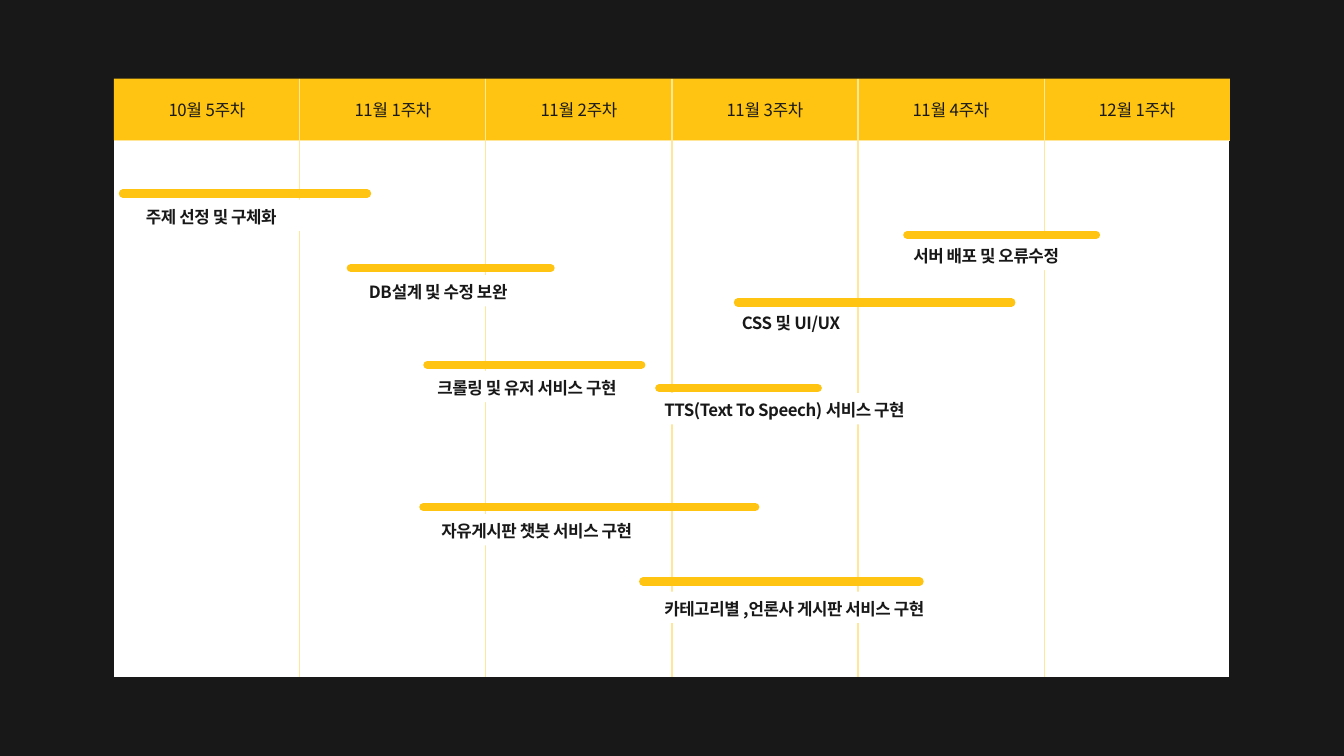
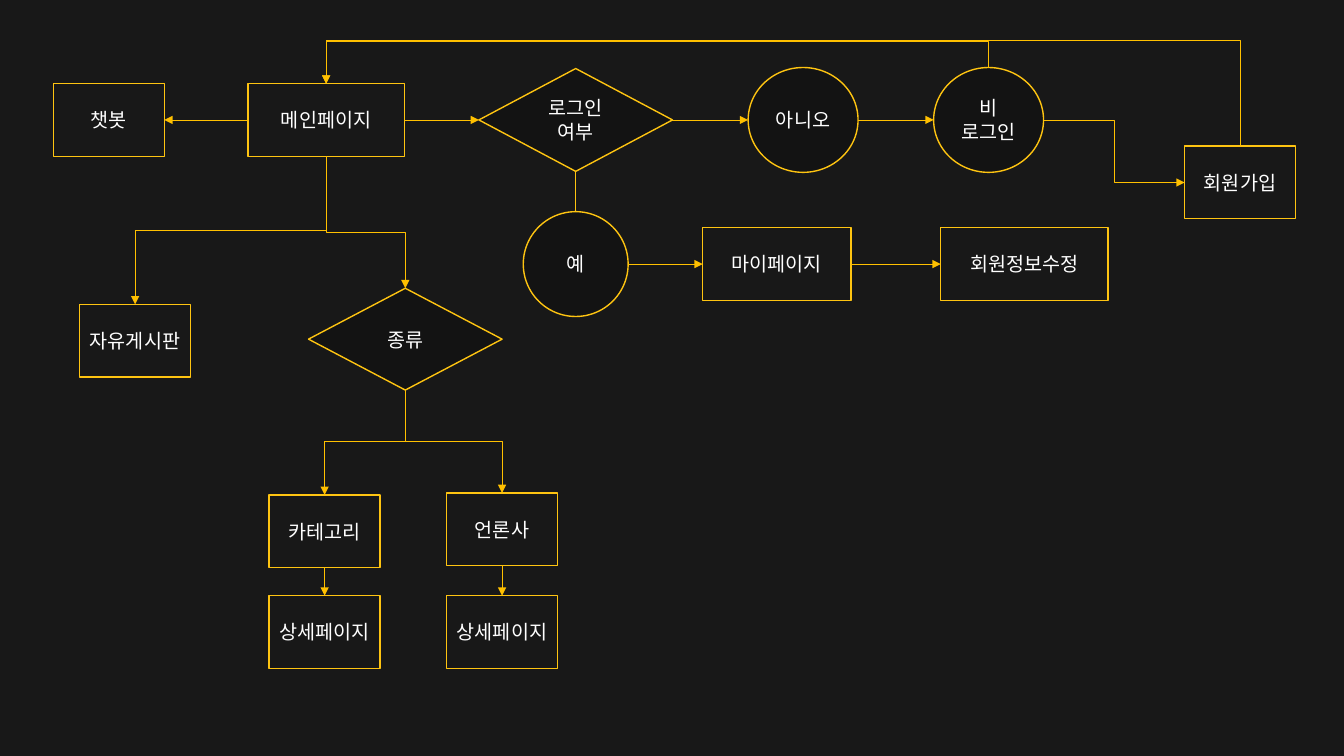
from dataclasses import dataclass

from pptx import Presentation
from pptx.dml.color import RGBColor
from pptx.enum.shapes import MSO_CONNECTOR, MSO_SHAPE
from pptx.enum.text import MSO_ANCHOR, MSO_AUTO_SIZE, PP_ALIGN
from pptx.oxml.ns import qn
from pptx.util import Inches, Pt
from lxml import etree

RECT, DIAMOND, OVAL = MSO_SHAPE.RECTANGLE, MSO_SHAPE.DIAMOND, MSO_SHAPE.OVAL
STRAIGHT, ELBOW = MSO_CONNECTOR.STRAIGHT, MSO_CONNECTOR.ELBOW
CENTER, LEFT = PP_ALIGN.CENTER, PP_ALIGN.LEFT
MIDDLE = MSO_ANCHOR.MIDDLE
FIT_SHAPE = MSO_AUTO_SIZE.SHAPE_TO_FIT_TEXT
TOP, LEFT_SIDE, BOTTOM, RIGHT_SIDE = range(4)

FONT = "Noto Sans CJK KR"
COLORS = {
    "dark": "181818",
    "node": "131313",
    "white": "FFFFFF",
    "yellow": "FEC411",
    "arrow": "FFC000",
    "grid": "FFE699",
}
HEADER_FONT = {"size": Pt(12), "name": FONT}
TASK_FONT = {"size": Pt(12), "name": FONT, "bold": True}
NODE_FONT = {"size": Pt(14), "name": FONT}

PANEL_LEFT, PANEL_RIGHT = 1.13, 12.2
PANEL_TOP, PANEL_BOTTOM = 0.78, 6.72
HEADER_H = 0.61
LABEL_H = 0.31
WEEKS = ["10월 5주차", "11월 1주차", "11월 2주차", "11월 3주차", "11월 4주차", "12월 1주차"]


@dataclass
class Task:
    text: str
    label_x: float
    label_y: float
    label_w: float
    bar_start: float
    bar_end: float
    bar_y: float


@dataclass
class Node:
    text: str
    x: float
    y: float
    w: float = 1.1
    h: float = 0.72
    kind: int = RECT
    fill: str = "dark"

    def side(self, i: int) -> tuple[float, float]:
        cx, cy = self.x + self.w / 2, self.y + self.h / 2
        return [(cx, self.y), (self.x, cy), (cx, self.y + self.h), (self.x + self.w, cy)][i]


@dataclass
class Link:
    start: str
    start_side: int
    end: str
    end_side: int
    bend: float | None = None
    color: str = "arrow"
    head: bool = True


TASKS = [
    Task("주제 선정 및 구체화", 1.35, 1.98, 1.64, 1.22, 3.64, 1.92),
    Task("DB설계 및 수정 보완", 3.56, 2.73, 1.66, 3.48, 5.46, 2.66),
    Task("크롤링 및 유저 서비스 구현", 4.24, 3.68, 2.12, 4.24, 6.36, 3.62),
    Task("자유게시판 챗봇 서비스 구현", 4.28, 5.1, 2.2, 4.2, 7.49, 5.03),
    Task("카테고리별 ,언론사 게시판 서비스 구현", 6.49, 5.87, 2.94, 6.38, 9.12, 5.77),
    Task("CSS 및 UI/UX", 7.26, 3.03, 1.23, 7.32, 10.03, 3),
    Task("서버 배포 및 오류수정", 8.96, 2.37, 1.79, 9, 10.87, 2.33),
    Task("TTS(Text To Speech) 서비스 구현", 6.49, 3.9, 3.29, 6.54, 8.11, 3.85),
]

NODES = {
    "main": Node("메인페이지", 2.46, 0.83, 1.55),
    "board": Node("자유게시판", 0.79, 3.02),
    "chatbot": Node("챗봇", 0.53, 0.83),
    "mypage": Node("마이페이지", 6.97, 2.26, 1.47),
    "signup": Node("회원가입", 11.75, 1.45),
    "category": Node("카테고리", 2.67, 4.91),
    "category_detail": Node("상세페이지", 2.67, 5.91),
    "press": Node("언론사", 4.43, 4.89),
    "press_detail": Node("상세페이지", 4.43, 5.91),
    "login": Node("로그인\n여부", 4.75, 0.68, 1.92, 1.02, DIAMOND, "node"),
    "yes": Node("예", 5.19, 2.1, 1.04, 1.04, OVAL, "node"),
    "profile": Node("회원정보수정", 9.33, 2.26, 1.66),
    "no": Node("아니오", 7.42, 0.67, 1.09, 1.04, OVAL, "node"),
    "guest": Node("비\n로그인", 9.26, 0.67, 1.09, 1.04, OVAL, "node"),
    "kind": Node("종류", 3.06, 2.86, 1.92, 1.01, DIAMOND, "node"),
}

LINKS = [
    Link("login", BOTTOM, "yes", TOP, color="yellow", head=False),
    Link("guest", RIGHT_SIDE, "signup", LEFT_SIDE, 11.05),
    Link("login", RIGHT_SIDE, "no", LEFT_SIDE),
    Link("no", RIGHT_SIDE, "guest", LEFT_SIDE),
    Link("yes", RIGHT_SIDE, "mypage", LEFT_SIDE),
    Link("signup", TOP, "main", TOP, 0.4),
    Link("guest", TOP, "main", TOP, 0.41),
    Link("main", LEFT_SIDE, "chatbot", RIGHT_SIDE),
    Link("main", BOTTOM, "board", TOP, 2.29),
    Link("main", BOTTOM, "kind", TOP, 2.3),
    Link("kind", BOTTOM, "category", TOP, 4.38),
    Link("kind", BOTTOM, "press", TOP, 4.38),
    Link("category", BOTTOM, "category_detail", TOP),
    Link("press", BOTTOM, "press_detail", TOP),
    Link("mypage", RIGHT_SIDE, "profile", LEFT_SIDE),
    Link("main", RIGHT_SIDE, "login", LEFT_SIDE),
]


def rgb(name: str) -> RGBColor:
    return RGBColor.from_string(COLORS[name])


def add_text(tf, text: str, fmt: dict, color: str, align=CENTER, spacing=None, tracking=None) -> None:
    for i, line in enumerate(text.split("\n")):
        p = tf.add_paragraph() if i else tf.paragraphs[0]
        p.alignment = align
        p.line_spacing = spacing
        r = p.add_run()
        r.text = line
        for key, value in fmt.items():
            setattr(r.font, key, value)
        r.font.color.rgb = rgb(color)
        rPr = r._r.get_or_add_rPr()
        if tracking is not None:
            rPr.set("spc", str(tracking))
        etree.SubElement(rPr, qn("a:ea")).set("typeface", FONT)


def add_box(slide, kind, x: float, y: float, w: float, h: float, fill: str, line=None, width=1.0):
    sp = slide.shapes.add_shape(kind, Inches(x), Inches(y), Inches(w), Inches(h))
    sp.shadow.inherit = False
    sp.fill.solid()
    sp.fill.fore_color.rgb = rgb(fill)
    if line:
        sp.line.color.rgb = rgb(line)
        sp.line.width = Pt(width)
    else:
        sp.line.fill.background()
    sp.text_frame.vertical_anchor = MIDDLE
    return sp


def add_line(slide, start, end, color: str, width: float, kind=STRAIGHT, head=False, cap=None):
    cxn = slide.shapes.add_connector(kind, *(Inches(v) for v in (*start, *end)))
    cxn.line.color.rgb = rgb(color)
    cxn.line.width = Pt(width)
    ln = cxn.line._get_or_add_ln()
    if cap:
        ln.set("cap", cap)
    if head:
        etree.SubElement(ln, qn("a:tailEnd")).set("type", "triangle")
    etree.SubElement(cxn._element.spPr, qn("a:effectLst"))
    return cxn


def turn_vertical(cxn, start, end) -> None:
    (x1, y1), (x2, y2) = start, end
    w, h = abs(y2 - y1), abs(x2 - x1)
    cxn.left, cxn.top = Inches((x1 + x2 - w) / 2), Inches((y1 + y2 - h) / 2)
    cxn.width, cxn.height = Inches(w), Inches(h)
    xfrm = cxn._element.spPr.find(qn("a:xfrm"))
    for flip in ("flipH", "flipV"):
        xfrm.attrib.pop(flip, None)
    xfrm.set("rot", str((90 if y2 > y1 else 270) * 60000))
    if (x2 > x1) == (y2 > y1):
        xfrm.set("flipV", "1")


def set_bend(cxn, share: float) -> None:
    geom = cxn._element.spPr.find(qn("a:prstGeom"))
    av = geom.find(qn("a:avLst"))
    if av is None:
        av = etree.SubElement(geom, qn("a:avLst"))
    gd = etree.SubElement(av, qn("a:gd"))
    gd.set("name", "adj1")
    gd.set("fmla", f"val {round(share * 100000)}")


def add_link(slide, link: Link, shapes: dict) -> None:
    a, b = NODES[link.start], NODES[link.end]
    start, end = a.side(link.start_side), b.side(link.end_side)
    kind = STRAIGHT if link.bend is None else ELBOW
    cxn = add_line(slide, start, end, link.color, 0.5, kind, link.head)
    if a.kind != OVAL or link.start_side == TOP:
        cxn.begin_connect(shapes[link.start], link.start_side)
    if b.kind != OVAL or link.end_side == TOP:
        cxn.end_connect(shapes[link.end], link.end_side)
    if link.bend is not None:
        axis = 1 if link.start_side in (TOP, BOTTOM) else 0
        if axis:
            turn_vertical(cxn, start, end)
        set_bend(cxn, (link.bend - start[axis]) / (end[axis] - start[axis]))


def build_schedule(slide) -> None:
    add_box(slide, RECT, PANEL_LEFT, PANEL_TOP, PANEL_RIGHT - PANEL_LEFT,
            PANEL_BOTTOM - PANEL_TOP, "white", "dark", 0.75)
    col_w = (PANEL_RIGHT - PANEL_LEFT) / len(WEEKS)
    edges = [PANEL_LEFT + col_w * i for i in range(len(WEEKS))]
    for x, week in zip(edges, WEEKS):
        sp = add_box(slide, RECT, x, PANEL_TOP, col_w, HEADER_H, "yellow")
        sp.text_frame.word_wrap = False
        add_text(sp.text_frame, week, HEADER_FONT, "dark", tracking=-30)
    header_bottom = PANEL_TOP + HEADER_H
    add_line(slide, (PANEL_LEFT, header_bottom), (PANEL_RIGHT, header_bottom), "grid", 0.5)
    for x in edges[1:]:
        add_line(slide, (x, PANEL_TOP), (x, PANEL_BOTTOM), "grid", 0.75)
    for t in TASKS:
        sp = slide.shapes.add_textbox(*(Inches(v) for v in (t.label_x, t.label_y, t.label_w, LABEL_H)))
        sp.fill.solid()
        sp.fill.fore_color.rgb = rgb("white")
        tf = sp.text_frame
        tf.word_wrap = True
        tf.auto_size = FIT_SHAPE
        add_text(tf, t.text, TASK_FONT, "dark", LEFT, 1.1, -30)
    for t in TASKS:
        add_line(slide, (t.bar_start, t.bar_y), (t.bar_end, t.bar_y), "yellow", 6, cap="rnd")


def build_flow(slide) -> None:
    shapes = {}
    for key, n in NODES.items():
        sp = add_box(slide, n.kind, n.x, n.y, n.w, n.h, n.fill, "yellow")
        tf = sp.text_frame
        tf.margin_left = tf.margin_right = Inches(0.05)
        tf.word_wrap = True
        add_text(tf, n.text, NODE_FONT, "white")
        shapes[key] = sp
    for link in LINKS:
        add_link(slide, link, shapes)


def main() -> None:
    prs = Presentation()
    prs.slide_width, prs.slide_height = Inches(13.33), Inches(7.5)
    bg = prs.slide_master.background.fill
    bg.solid()
    bg.fore_color.rgb = rgb("dark")
    for build in (build_schedule, build_flow):
        build(prs.slides.add_slide(prs.slide_layouts[6]))
    prs.save("out.pptx")


if __name__ == "__main__":
    main()
